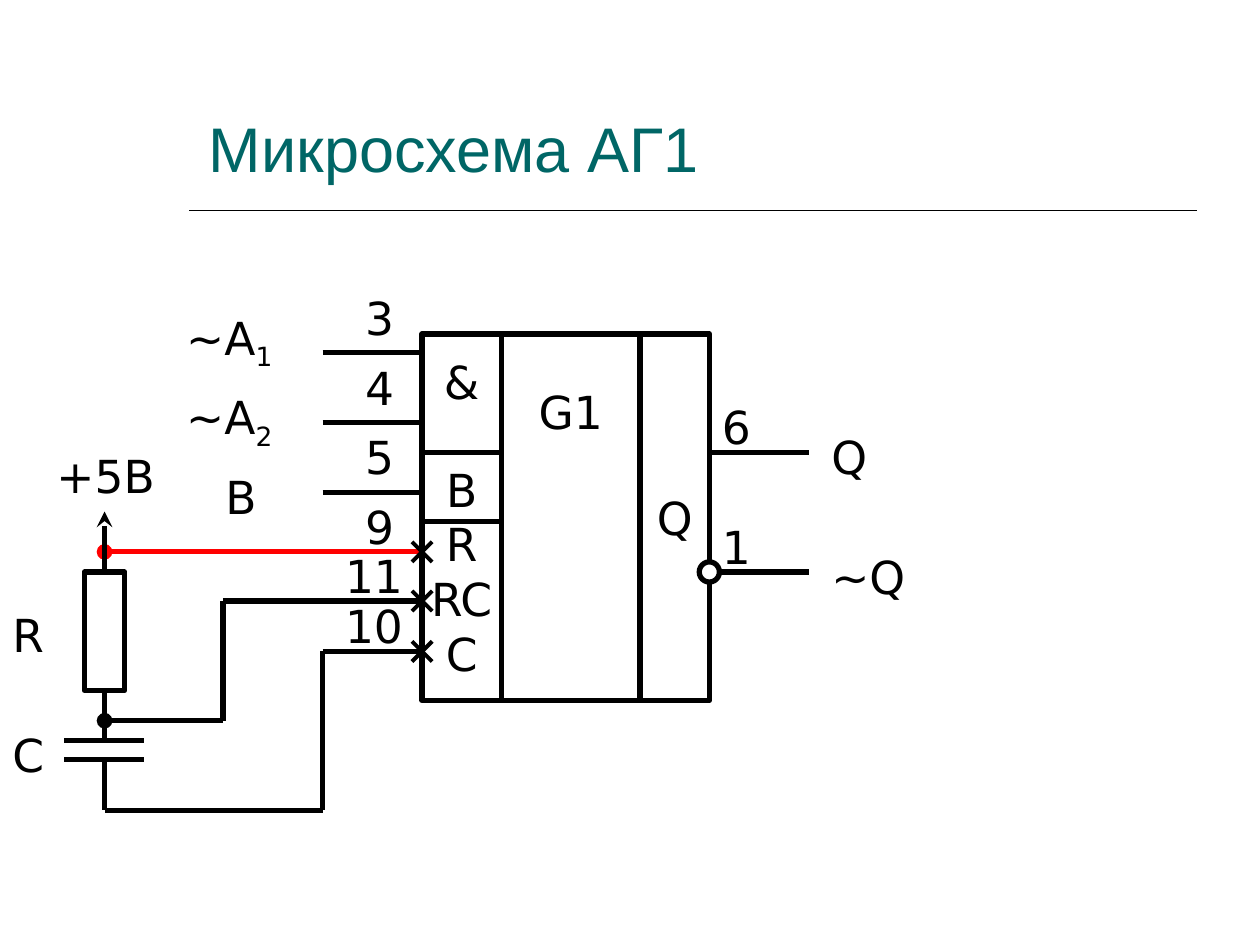
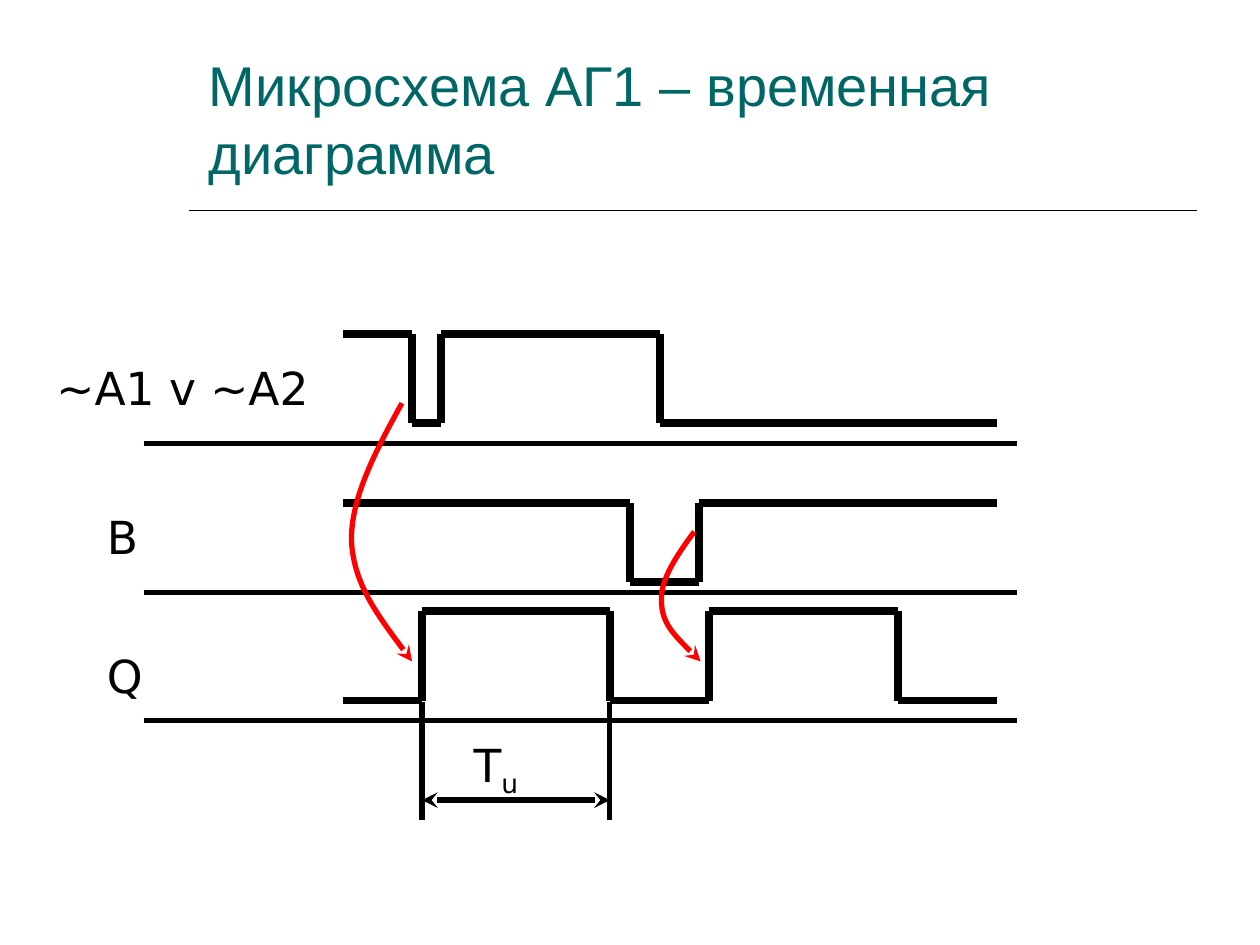
from dataclasses import dataclass
from itertools import pairwise
from typing import Any

from lxml import etree
from pptx import Presentation
from pptx.dml.color import RGBColor as Rgb
from pptx.enum.shapes import MSO_CONNECTOR as Link, MSO_SHAPE as Preset
from pptx.enum.text import MSO_ANCHOR as Anchor, PP_ALIGN as Align
from pptx.oxml.ns import qn
from pptx.util import Inches, Pt


@dataclass(frozen=True)
class Theme:
    ink: Rgb = Rgb(0, 0, 0)
    paper: Rgb = Rgb(255, 255, 255)
    signal: Rgb = Rgb(255, 0, 0)
    title: Rgb = Rgb(0, 0x66, 0x66)
    title_font: str = "Arial"
    label_font: str = "DejaVu Sans"
    label_size: float = 26
    rule: float = 1
    cross: float = 2.25
    wire: float = 3
    wave: float = 4.5


THEME = Theme()


def write(frame, lines, *, size=THEME.label_size, font=THEME.label_font,
          color=THEME.ink, align=Align.LEFT, anchor=Anchor.TOP, wrap=True,
          gaps=None):
    """Fill a frame; "_" starts a subscript, gaps maps a line to its space before."""
    frame.word_wrap = wrap
    frame.vertical_anchor = anchor
    for index, line in enumerate(lines):
        paragraph = frame.paragraphs[0] if index == 0 else frame.add_paragraph()
        paragraph.alignment = align
        if gaps and line in gaps:
            paragraph.space_before = Pt(gaps[line])
        base, _, subscript = line.partition("_")
        for part in filter(None, (base, subscript)):
            run = paragraph.add_run()
            run.text = part
            run.font.size, run.font.name = Pt(size), font
            run.font.color.rgb = color
            if part is subscript:
                run._r.get_or_add_rPr().set("baseline", "-25000")


def style_line(shape, color, width, head=None, tail=None):
    shape.line.color.rgb = color
    shape.line.width = Pt(width)
    outline = shape.line._get_or_add_ln()
    for tag, kind in (("a:headEnd", head), ("a:tailEnd", tail)):
        if kind:
            etree.SubElement(outline, qn(tag)).set("type", kind)


@dataclass
class Region:
    """Part of a slide; every position inside is relative to its corner."""
    slide: Any
    left: float
    top: float

    def at(self, x, y):
        return Inches(self.left + x), Inches(self.top + y)

    def line(self, start, end, color=THEME.ink, width=THEME.wire, **ends):
        link = self.slide.shapes.add_connector(
            Link.STRAIGHT, *self.at(*start), *self.at(*end))
        style_line(link, color, width, **ends)
        etree.SubElement(link._element.spPr, qn("a:effectLst"))

    def route(self, points, **style):
        for start, end in pairwise(points):
            self.line(start, end, **style)

    def label(self, text, x, y, width=0.55, height=0.54, **style):
        box = self.slide.shapes.add_textbox(
            *self.at(x, y), Inches(width), Inches(height))
        write(box.text_frame, [text], **style)

    def block(self, x, y, width, height, preset=Preset.RECTANGLE):
        shape = self.slide.shapes.add_shape(
            preset, *self.at(x, y), Inches(width), Inches(height))
        shape.shadow.inherit = False
        shape.fill.solid()
        shape.fill.fore_color.rgb = THEME.paper
        style_line(shape, THEME.ink, THEME.wire)
        return shape.text_frame

    def curve(self, start, *controls):
        """Red arrow along Bezier pieces, three control points to a piece."""
        builder = self.slide.shapes.build_freeform(*self.at(*start), scale=1.0)
        builder.add_line_segments([self.at(*p) for p in controls], close=False)
        shape = builder.convert_to_shape()
        shape.shadow.inherit = False
        shape.fill.background()
        style_line(shape, THEME.signal, THEME.wire, tail="stealth")
        steps = list(shape._element.iter(qn("a:lnTo")))
        for first in range(0, len(steps), 3):
            piece = etree.Element(qn("a:cubicBezTo"))
            steps[first].addprevious(piece)
            for step in steps[first:first + 3]:
                piece.append(step[0])
                step.getparent().remove(step)


def add_titled_slide(deck, title, size):
    slide = deck.slides.add_slide(deck.slide_layouts[6])
    header = Region(slide, 1.5, 0.39)
    header.line((0, 1.28), (8, 1.28), width=THEME.rule)
    header.label(title, 0.06, 0, 7.88, 1.13, size=size, font=THEME.title_font,
                 color=THEME.title, anchor=Anchor.BOTTOM)
    return slide


def draw_rc_network(slide, left, top):
    area = Region(slide, left, top)
    axis, chip_edge = 0.83, 3.35
    # Supply and resistor
    area.line((chip_edge, 0.87), (axis, 0.87), color=THEME.signal, tail="oval")
    area.block(0.67, 1.03, 0.32, 0.94)
    area.line((axis, 0.55), (axis, 1.03), head="stealth")
    # Capacitor
    area.line((axis, 1.97), (axis, 2.37))
    for plate in (2.37, 2.52):
        area.line((0.51, plate), (1.14, plate))
    # Wires to the RC and C pins
    area.line((1.77, 2.21), (axis, 2.21), tail="oval")
    area.route([(1.77, 2.21), (1.77, 1.26), (chip_edge, 1.26)])
    area.route([(axis, 2.52), (axis, 2.92), (2.56, 2.92),
                (2.56, 1.66), (chip_edge, 1.66)])
    area.label("+5В", 0.35, 0, 1.34)
    area.label("R", 0, 1.26)
    area.label("С", 0, 2.21)


def draw_chip(slide, left, top):
    area = Region(slide, left, top)
    height, lead = 2.91, 0.79
    inputs_w, core_w, outputs_w = 0.63, 1.1, 0.55
    right = inputs_w + core_w + outputs_w
    centred = dict(align=Align.CENTER, wrap=False)

    # Body: inputs, outputs, core
    write(area.block(0, 0, inputs_w, height),
          ["&", "B", "R", "RC", "C"], anchor=Anchor.MIDDLE,
          gaps={"B": 30.3}, **centred)
    write(area.block(inputs_w + core_w, 0, outputs_w, height), ["Q"],
          anchor=Anchor.MIDDLE, **centred)
    core = area.block(inputs_w, 0, core_w, height)
    core.margin_top = Inches(0.4)
    write(core, ["G1"], **centred)
    for divider in (0.94, 1.49):
        area.line((0, divider), (inputs_w, divider))

    # Logic inputs
    for row, (pin, name, x) in enumerate(
            [("3", "~A_1", -1.97), ("4", "~A_2", -1.97), ("5", "B", -1.66)]):
        y = 0.15 + 0.555 * row
        area.line((-lead, y), (0, y))
        area.label(pin, -0.55, y - 0.55)
        area.label(name, x, -0.24 + 0.63 * row, 0.94, 0.6)

    # Timing pins, marked with crosses
    arm = 0.08
    for pin, y, x in (("9", 1.73, -0.55), ("11", 2.12, -0.71),
                      ("10", 2.52, -0.71)):
        for slope in (arm, -arm):
            area.line((-arm, y + slope), (arm, y - slope), width=THEME.cross)
        area.label(pin, x, y - 0.47, -x)

    # Outputs
    for pin, name, y in (("6", "Q", 0.94), ("1", "~Q", 1.89)):
        area.line((right, y), (right + lead, y))
        area.label(pin, right, y - 0.47)
        area.label(name, right + 0.87, y - 0.23, 0.79)
    area.block(right - arm, 1.89 - arm, 2 * arm, 2 * arm, Preset.OVAL)


def wave_points(start, end, high, low, edges, level):
    """Corners of a square wave that flips its level at every edge."""
    points = [(start, level)]
    for edge in edges:
        points.append((edge, level))
        level = low if level == high else high
        points.append((edge, level))
    return points + [(end, level)]


def draw_timing(slide, left, top):
    area = Region(slide, left, top)
    start, end = 2.37, 7.56
    pulse_start, pulse_end = 3, 4.49

    # Signals: name, label place and width, axis, high, low, edges, first level
    signals = [
        ("~A1 v ~A2", 0, 0.16, 2.76, 0.87, 0, 0.71, (2.92, 3.15, 4.89), 0),
        ("B", 0.4, 1.34, 0.79, 2.05, 1.34, 1.97, (4.65, 5.2), 1.34),
        ("Q", 0.4, 2.44, 0.79, 3.07, 2.2, 2.91,
         (pulse_start, pulse_end, 5.28, 6.78), 2.91),
    ]
    for name, x, y, width, axis, high, low, edges, level in signals:
        area.line((0.79, axis), (7.72, axis))
        area.label(name, x, y, width)
        area.route(wave_points(start, end, high, low, edges, level),
                   width=THEME.wave)

    # Pulse duration
    for edge in (pulse_start, pulse_end):
        area.line((edge, 2.92), (edge, 3.86))
    area.line((pulse_start, 3.7), (pulse_end, 3.7),
              head="stealth", tail="stealth")
    area.label("T_u", 3.31, 3.15, 0.79, 0.6)

    # Triggering edges
    area.curve((2.84, 0.55), (2.63, 0.93), (2.43, 1.31), (2.44, 1.65),
               (2.46, 1.99), (2.69, 2.29), (2.92, 2.6))
    area.curve((5.16, 1.57), (5.02, 1.76), (4.89, 1.95), (4.9, 2.12),
               (4.9, 2.3), (5.06, 2.45), (5.21, 2.6))


def main():
    deck = Presentation()
    deck.slide_width, deck.slide_height = Inches(10), Inches(7.5)

    circuit = add_titled_slide(deck, "Микросхема АГ1", 36)
    draw_rc_network(circuit, 0, 3.51)
    draw_chip(circuit, 3.35, 2.65)

    timing = add_titled_slide(deck, "Микросхема АГ1 – временная диаграмма", 32)
    draw_timing(timing, 0.35, 2.65)

    deck.save("out.pptx")


if __name__ == "__main__":
    main()
